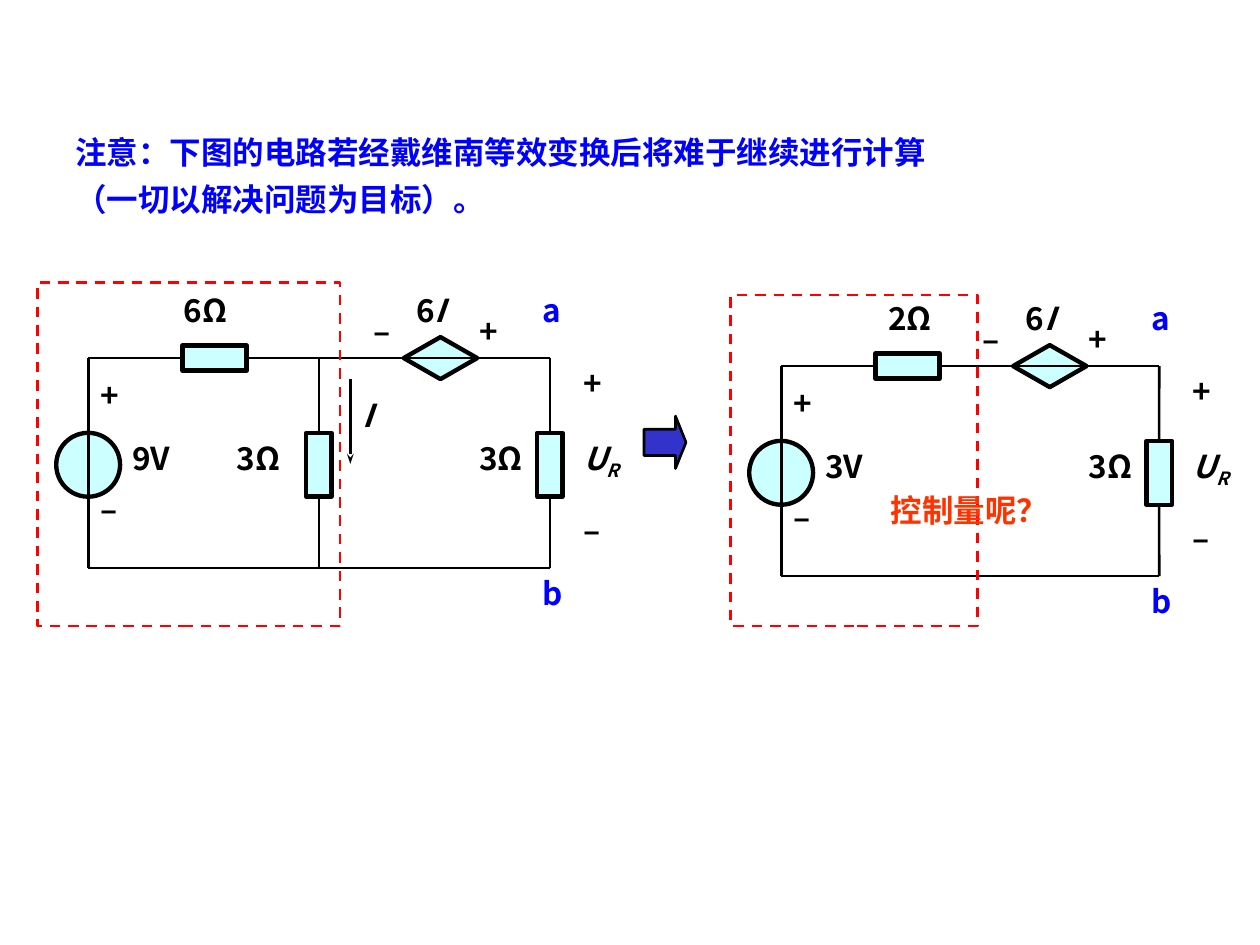
from lxml import etree
from pptx import Presentation
from pptx.dml.color import RGBColor
from pptx.enum.dml import MSO_LINE
from pptx.enum.shapes import MSO_CONNECTOR, MSO_SHAPE
from pptx.enum.text import MSO_AUTO_SIZE, PP_ALIGN
from pptx.oxml.ns import qn
from pptx.util import Pt

BLACK = RGBColor(0x00, 0x00, 0x00)
BLUE = RGBColor(0x00, 0x00, 0xFF)
RED = RGBColor(0xFF, 0x00, 0x00)
ORANGE = RGBColor(0xFF, 0x33, 0x00)
PALE_CYAN = RGBColor(0xCC, 0xFF, 0xFF)
INDIGO = RGBColor(0x33, 0x33, 0xCC)

RECTANGLE = MSO_SHAPE.RECTANGLE
ELLIPSE = MSO_SHAPE.OVAL
DIAMOND = MSO_SHAPE.DIAMOND
RIGHT_ARROW = MSO_SHAPE.RIGHT_ARROW
STRAIGHT = MSO_CONNECTOR.STRAIGHT
DASH = MSO_LINE.DASH
FIT_SHAPE = MSO_AUTO_SIZE.SHAPE_TO_FIT_TEXT
LEFT, CENTER = PP_ALIGN.LEFT, PP_ALIGN.CENTER
SIDE_TOP, SIDE_LEFT, SIDE_BOTTOM, SIDE_RIGHT = range(4)

FONT = "Noto Sans CJK SC"
LONG, SHORT = 36.5, 14.4      # resistor body; LONG is also the source diameter
HEIGHT = 120                  # from top wire to bottom wire
ABOVE, MIDDLE = -42, 42.5     # label rows, measured from the top wire


def format_run(run, color, italic=False):
    run.font.name = FONT
    run.font.size = Pt(18)
    run.font.bold = True
    run.font.italic = italic
    run.font.color.rgb = color
    etree.SubElement(run._r.get_or_add_rPr(), qn("a:ea"), typeface=FONT)


def add_box(slide, x, y, width, height=36, wrap=True):
    frame = slide.shapes.add_textbox(Pt(x), Pt(y), Pt(width), Pt(height)).text_frame
    frame.word_wrap = wrap
    frame.auto_size = FIT_SHAPE
    return frame


def add_text(slide, lines, x, y, width, height, color, align=LEFT):
    frame = add_box(slide, x, y, width, height, wrap=False)
    frame.text = "\n".join(lines)
    for index, paragraph in enumerate(frame.paragraphs):
        paragraph.alignment = align
        if index:
            paragraph.space_before = Pt(5)
        for run in paragraph.runs:
            format_run(run, color)


def add_label(slide, x, y, width, upright="", italic="", subscript="", color=BLACK):
    paragraph = add_box(slide, x, y, width).paragraphs[0]
    for text in (upright, italic, subscript):
        if text:
            run = paragraph.add_run()
            run.text = text
            format_run(run, color, italic=text != upright)
            if text == subscript:
                run._r.get_or_add_rPr().set("baseline", "-25000")


def add_part(slide, kind, x, y, width, height, fill=PALE_CYAN, line=BLACK, weight=2.5):
    part = slide.shapes.add_shape(kind, Pt(x), Pt(y), Pt(width), Pt(height))
    part.shadow.inherit = False
    if fill is None:
        part.fill.background()
    else:
        part.fill.solid()
        part.fill.fore_color.rgb = fill
    part.line.color.rgb = line
    part.line.width = Pt(weight)
    return part


def add_wire(slide, x1, y1, x2, y2, start=None, end=None):
    wire = slide.shapes.add_connector(STRAIGHT, Pt(x1), Pt(y1), Pt(x2), Pt(y2))
    wire.line.color.rgb = BLACK
    wire.line.width = Pt(1.5)
    etree.SubElement(wire._element.spPr, qn("a:effectLst"))
    if start:
        wire.begin_connect(*start)
    if end:
        wire.end_connect(*end)
    return wire


def add_upright_resistor(slide, x, top):
    return add_part(slide, RECTANGLE, x - SHORT / 2, top + 61 - LONG / 2, SHORT, LONG)


def add_dashed_frame(slide, x, y, width, height):
    frame = add_part(slide, RECTANGLE, x, y, width, height, None, RED, 1.5)
    frame.line.dash_style = DASH


def draw_circuit(slide, left, right, top, voltage, resistance, resistance_x):
    bottom = top + HEIGHT

    # Series resistor, controlled source and the horizontal wires
    resistor = add_part(slide, RECTANGLE, left + 54, top - SHORT / 2, LONG, SHORT)
    add_label(slide, left + resistance_x, top + ABOVE, 48, resistance)
    add_part(slide, DIAMOND, right - 83.5, top - 12, 42, 24)
    add_label(slide, right - 83.5, top + ABOVE, 54, "6", "I")
    add_label(slide, right - 108, top - 30, 36, "–")
    add_label(slide, right - 47.5, top - 30, 30, "+")
    add_wire(slide, left, top, left + 54, top, end=(resistor, SIDE_LEFT))
    add_wire(slide, left + 54 + LONG, top, right, top, start=(resistor, SIDE_RIGHT))
    add_wire(slide, left, bottom, right, bottom)

    # Voltage source
    add_part(slide, ELLIPSE, left - LONG / 2, top + 61 - LONG / 2, LONG, LONG)
    add_wire(slide, left, bottom, left, top)
    add_label(slide, left, top + 6.5, 24, "+")
    add_label(slide, left, top + 72, 30, "–")
    add_label(slide, left + 18, top + MIDDLE, 48, voltage)

    # Load between terminals a and b
    load = add_upright_resistor(slide, right, top)
    add_wire(slide, right, top, right, load.top.pt, end=(load, SIDE_TOP))
    add_wire(slide, right, load.top.pt + LONG, right, bottom, start=(load, SIDE_BOTTOM))
    add_label(slide, right - 47.5, top + MIDDLE, 48, "3Ω")
    add_label(slide, right + 12, top, 24, "+")
    add_label(slide, right + 12, top + MIDDLE, 48, "", "U", "R")
    add_label(slide, right + 12, top + 84, 30, "–")
    add_label(slide, right - 11.5, top + ABOVE, 36, "a", color=BLUE)
    add_label(slide, right - 11.5, bottom, 24, "b", color=BLUE)


def draw_shunt_branch(slide, x, top):
    add_wire(slide, x, top, x, top + HEIGHT)
    add_upright_resistor(slide, x, top)
    add_label(slide, x - 54, top + MIDDLE, 54, "3Ω")
    current = add_wire(slide, x + 18, top + 12, x + 18, top + 60.5)
    etree.SubElement(current.line._get_or_add_ln(), qn("a:tailEnd"),
                     type="stealth", w="sm", len="med")
    add_label(slide, x + 18, top + 18, 36, "", "I")


def main():
    presentation = Presentation()
    presentation.slide_width, presentation.slide_height = Pt(720), Pt(540)
    slide = presentation.slides.add_slide(presentation.slide_layouts[6])

    # Circuit before and after the Thevenin transformation
    draw_shunt_branch(slide, 182.2, 204.6)
    draw_circuit(slide, 50.4, 314.2, 204.6, "9V", "6Ω", 47.5)
    draw_circuit(slide, 446.4, 662.4, 209.2, "3V", "2Ω", 54)

    # Arrow between the circuits
    arrow = add_part(slide, RIGHT_ARROW, 368, 237.8, 24, 30, INDIGO, BLACK, 1.5)
    arrow.adjustments[0], arrow.adjustments[1] = 0.5, 0.25

    # Remark and transformed parts
    add_text(slide, ["注意：下图的电路若经戴维南等效变换后将难于继续进行计算",
                     "（一切以解决问题为目标）。"], 36, 72.7, 508.3, 62, BLUE)
    add_dashed_frame(slide, 21.6, 161.3, 172.8, 196.5)
    add_dashed_frame(slide, 417.6, 168.7, 141, 189)
    add_text(slide, ["控制量呢？"], 486.7, 277.2, 134.6, 36, ORANGE, CENTER)

    presentation.save("out.pptx")


if __name__ == "__main__":
    main()
